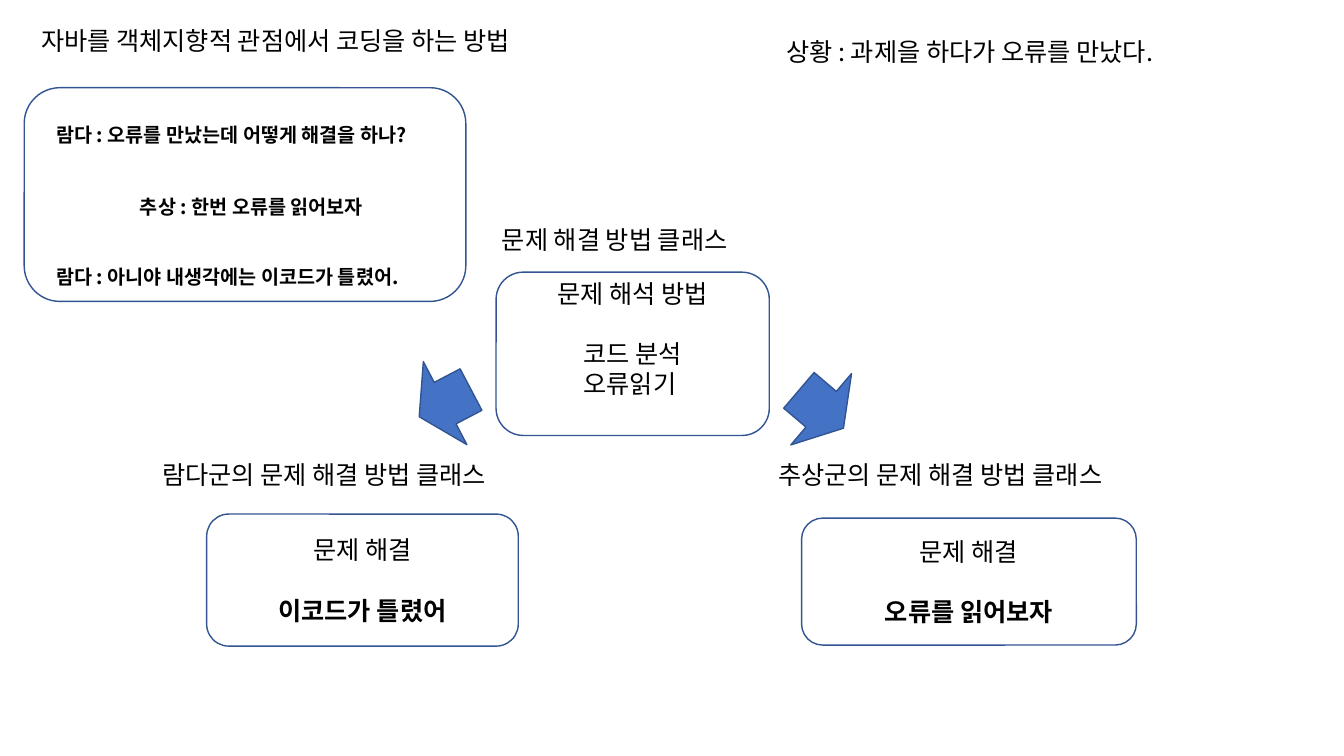
from lxml import etree
from pptx import Presentation
from pptx.dml.color import RGBColor
from pptx.enum import shapes, text
from pptx.oxml import ns
from pptx.util import Inches, Pt

FONT = "Noto Sans CJK KR"
HEX = {"text": "000000", "box": "FFFFFF", "line": "325491", "arrow": "4472C4"}
RGB = {name: RGBColor.from_string(code) for name, code in HEX.items()}
GAP = Pt(21.5)  # one empty line of 18 pt text


def style(para, words, size=18, bold=False):
    """Write words into a paragraph, with the font set for Latin and Korean."""
    para.text = words
    font = para.font
    font.size, font.bold, font.name = Pt(size), bold, FONT
    font.color.rgb = RGB["text"]
    east = etree.SubElement(para._p.pPr.find(ns.qn("a:defRPr")), ns.qn("a:ea"))
    east.set("typeface", FONT)


def draw(kind, area, fill):
    shape = slide.shapes.add_shape(kind, *map(Inches, area))
    shape.shadow.inherit = False
    shape.fill.solid()
    shape.fill.fore_color.rgb = RGB[fill]
    shape.line.color.rgb = RGB["line"]
    shape.line.width = Pt(1)
    return shape


prs = Presentation()
prs.slide_width, prs.slide_height = Inches(13.33), Inches(7.5)
slide = prs.slides.add_slide(prs.slide_layouts[6])

# Rounded boxes: area, bottom inset, lines of (words, bold, space before)
boxes = [
    ((4.92, 2.7, 2.71, 1.62), 0.35,
     [("문제 해석 방법", False, 0), ("코드 분석", False, GAP), ("오류읽기 ", False, 0)]),
    ((0.24, 0.87, 4.38, 2.12), 0.05, []),
    ((2.05, 5.1, 3.09, 1.31), 0.05,
     [("문제 해결", False, 0), ("이코드가 틀렸어", True, GAP)]),
    ((7.95, 5.14, 3.32, 1.26), 0.05,
     [("문제 해결", False, 0), ("오류를 읽어보자", True, GAP)]),
]
for area, inset, lines in boxes:
    frame = draw(shapes.MSO_SHAPE.ROUNDED_RECTANGLE, area, "box").text_frame
    frame.vertical_anchor = text.MSO_ANCHOR.MIDDLE
    frame.margin_bottom = Inches(inset)
    for i, (words, bold, before) in enumerate(lines):
        para = frame.add_paragraph() if i else frame.paragraphs[0]
        style(para, words, bold=bold)
        para.alignment = text.PP_ALIGN.CENTER
        para.space_before = before

# Labels: left, top, width, wrap, size, bold, words
labels = [
    (0.31, 0.2, 5.94, True, 18, False, "자바를 객체지향적 관점에서 코딩을 하는 방법"),
    (7.7, 0.31, 4.3, False, 18, False, "상황 : 과제을 하다가 오류를 만났다."),
    (0.46, 1.17, 4.51, True, 14, True, "람다 : 오류를 만났는데 어떻게 해결을 하나?"),
    (1.29, 1.88, 2.94, True, 14, True, "추상 : 한번 오류를 읽어보자"),
    (0.46, 2.58, 4.38, True, 14, True, "람다 : 아니야 내생각에는 이코드가 틀렸어."),
    (1.51, 4.51, 3.84, False, 18, False, "람다군의 문제 해결 방법 클래스"),
    (7.62, 4.51, 3.84, False, 18, False, "추상군의 문제 해결 방법 클래스"),
    (4.88, 2.18, 2.74, False, 18, False, "문제 해결 방법 클래스"),
]
for left, top, width, wrap, size, bold, words in labels:
    height = 0.4 if size == 18 else 0.34
    label = slide.shapes.add_textbox(*map(Inches, (left, top, width, height)))
    frame = label.text_frame
    frame.word_wrap = wrap
    frame.auto_size = text.MSO_AUTO_SIZE.SHAPE_TO_FIT_TEXT
    style(frame.paragraphs[0], words, size, bold)

for left, top, turn in [(3.95, 3.71, 62.3), (7.68, 3.77, 310.4)]:
    arrow = draw(shapes.MSO_SHAPE.DOWN_ARROW, (left, top, 0.93, 0.58), "arrow")
    arrow.rotation = turn

prs.save("out.pptx")
